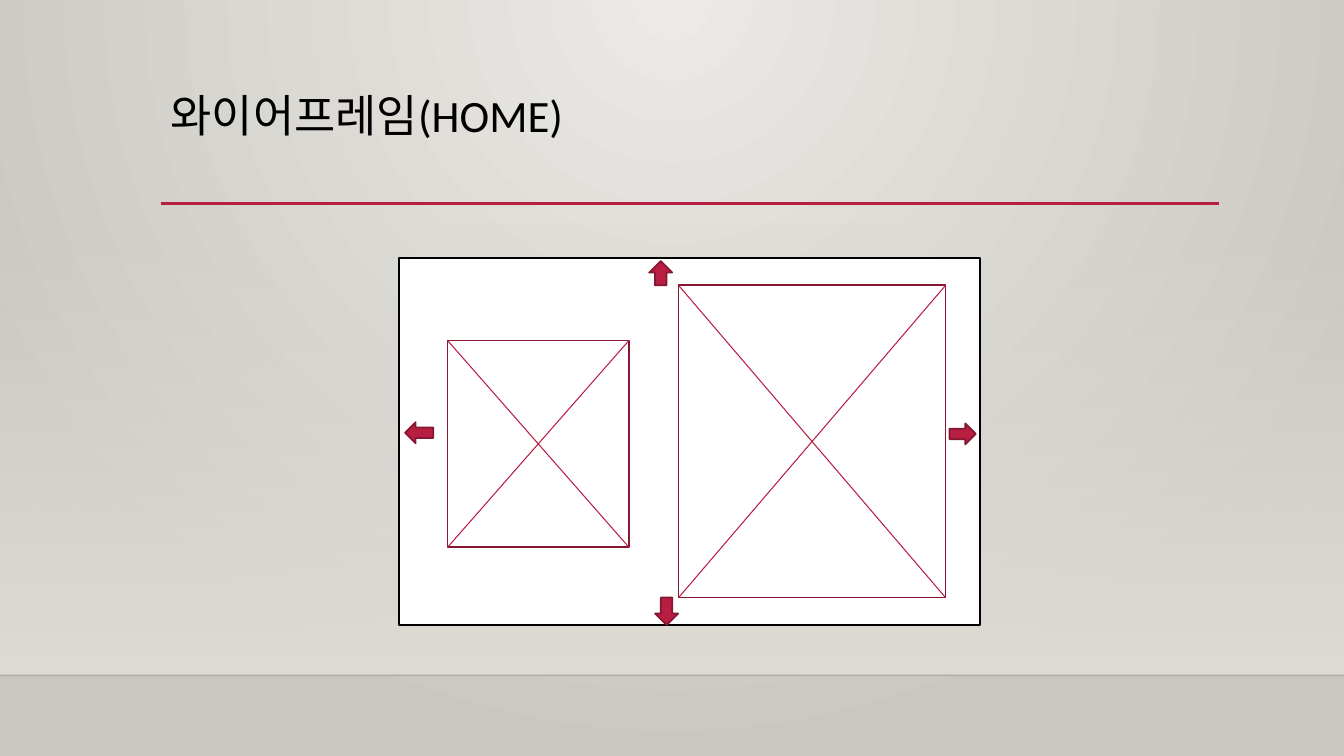
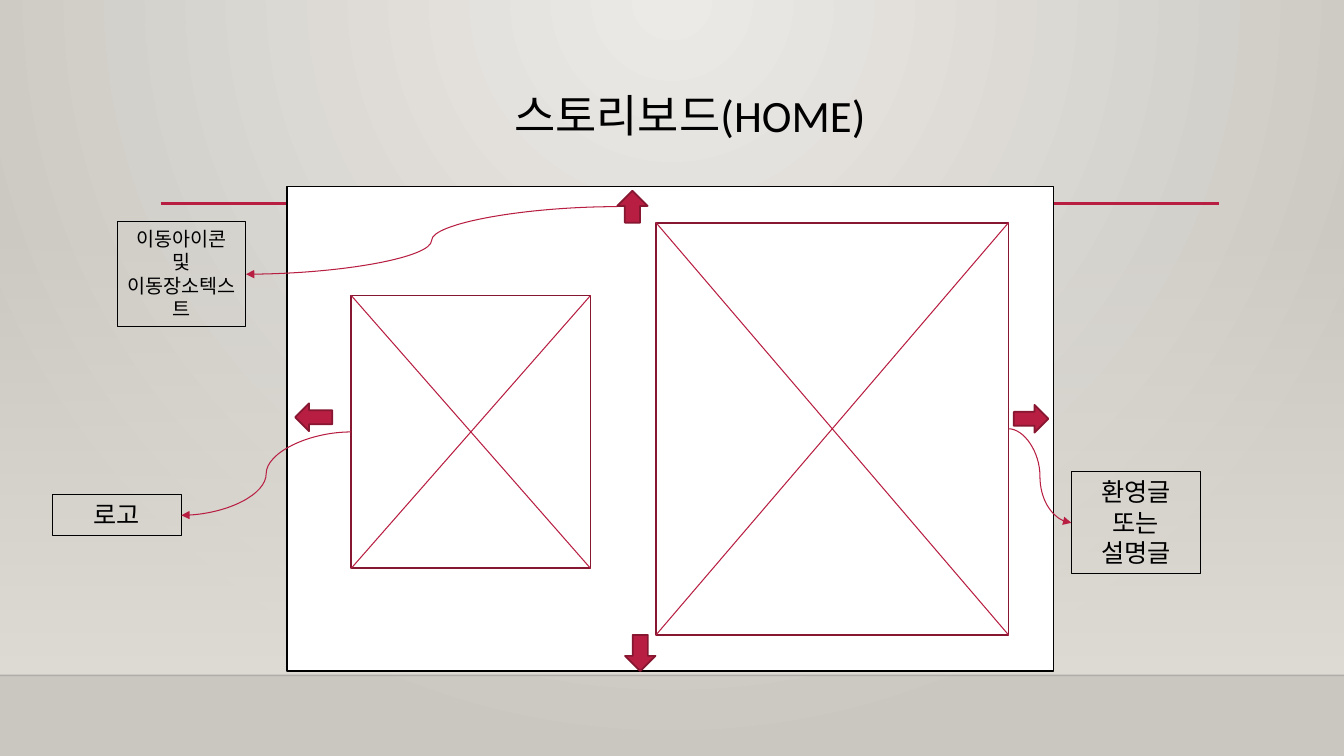
from lxml.etree import SubElement
from pptx import Presentation
from pptx.dml.color import RGBColor
from pptx.enum.shapes import MSO_CONNECTOR, MSO_SHAPE
from pptx.enum.text import MSO_ANCHOR, PP_ALIGN
from pptx.oxml.ns import qn
from pptx.util import Cm, Pt

HUES = {
    "ink": "000000",
    "paper": "FFFFFF",
    "red": "B71E42",
    "wine": "871631",
    "sand": "DFDBD5",
    "light": "ECEAE7",
    "dark": "CAC7C1",
}
FONT = "Calibri"
WIDE, HIGH = 33.87, 19.05
FLOOR = 17.02
FRAME = (0, 0, 14.63, 9.25)
PANES = {"logo": (1.22, 2.08, 4.57, 5.21), "text": (7.04, 0.69, 6.73, 7.87)}
ARROWS = {
    "right": (MSO_SHAPE.RIGHT_ARROW, (13.87, 4.17, 0.66, 0.53)),
    "down": (MSO_SHAPE.DOWN_ARROW, (6.45, 8.56, 0.58, 0.69)),
    "left": (MSO_SHAPE.LEFT_ARROW, (0.15, 4.14, 0.71, 0.53)),
    "up": (MSO_SHAPE.UP_ARROW, (6.3, 0.08, 0.58, 0.61)),
}


def hue(name):
    return RGBColor.from_string(HUES[name])


def fade(item, share):
    for color in item.iter(qn("a:srgbClr")):
        SubElement(color, qn("a:alpha"), val=str(share * 1000))


def blend(fill, names):
    fill.gradient()
    for stop, name in zip(fill.gradient_stops, names):
        stop.color.rgb = hue(name)


class Deck:
    def __init__(self):
        self.prs = Presentation()
        self.prs.slide_width, self.prs.slide_height = Cm(WIDE), Cm(HIGH)
        self.glow()

    def glow(self):
        master = self.prs.slide_master
        blend(master.background.fill, ("light", "dark"))
        line = next(master.element.iter(qn("a:lin")))
        grad = line.getparent()
        grad.remove(line)
        ring = SubElement(grad, qn("a:path"), path="circle")
        SubElement(ring, qn("a:fillToRect"), l="43000", t="0", r="43000", b="100000")

    def page(self, title, align):
        self.slide = self.prs.slides.add_slide(self.prs.slide_layouts[6])
        self.host = self.slide.shapes
        self.wall()
        floor = self.line((0, FLOOR), (WIDE, FLOOR), "ink", 1)
        fade(floor.line._ln, 20)
        self.line((4.05, 5.13), (30.73, 5.13), "red", 2.5)
        self.text((4.05, 2.24, 26.67, 2.92), [title], 32, align, 0.9)

    def wall(self):
        wall = self.shape(MSO_SHAPE.RECTANGLE, (0, 5.61, WIDE, FLOOR - 5.61))
        blend(wall.fill, ("sand", "sand"))
        wall.fill.gradient_angle = 270
        fade(next(wall.element.iter(qn("a:gs"))), 0)
        wall.line.fill.background()

    def shape(self, kind, box, fill=None, edge="ink", width=1.25):
        item = self.host.add_shape(kind, *map(Cm, box))
        item.shadow.inherit = False
        if fill:
            item.fill.solid()
            item.fill.fore_color.rgb = hue(fill)
        item.line.color.rgb = hue(edge)
        item.line.width = Pt(width)
        return item

    def line(self, start, end, color, width, kind=MSO_CONNECTOR.STRAIGHT):
        item = self.host.add_connector(kind, *map(Cm, start + end))
        item.line.color.rgb = hue(color)
        item.line.width = Pt(width)
        SubElement(item.element.spPr, qn("a:effectLst"))
        return item

    def text(self, box, lines, size, align=PP_ALIGN.CENTER, pitch=1.0):
        item = self.host.add_textbox(*map(Cm, box))
        frame = item.text_frame
        frame.word_wrap = True
        frame.vertical_anchor = MSO_ANCHOR.TOP
        for spot, words in enumerate(lines):
            para = frame.add_paragraph() if spot else frame.paragraphs[0]
            para.alignment = align
            para.line_spacing = pitch
            run = para.add_run()
            run.text = words
            run.font.name = FONT
            run.font.size = Pt(size)
            run.font.color.rgb = hue("ink")
        return item

    def pane(self, box):
        x, y, w, h = box
        item = self.shape(MSO_SHAPE.RECTANGLE, box, "paper", "wine")
        self.line((x, y), (x + w, y + h), "red", 0.75)
        self.line((x + w, y), (x, y + h), "red", 0.75)
        return item

    def wire(self, left, top, scale=1.0):
        def place(box):
            x, y, w, h = (scale * part for part in box)
            return left + x, top + y, w, h

        self.host = self.slide.shapes.add_group_shape().shapes
        self.shape(MSO_SHAPE.RECTANGLE, place(FRAME), "paper")
        parts = {name: self.pane(place(box)) for name, box in PANES.items()}
        for name, (kind, box) in ARROWS.items():
            parts[name] = self.shape(kind, place(box), "red", "wine")
        self.host = self.slide.shapes
        return parts

    def note(self, box, lines, size, part, sides):
        label = self.text(box, lines, size)
        label.line.color.rgb = hue("ink")
        label.line.width = Pt(0.75)
        curve = self.line((0, 0), (1, 1), "red", 0.75, MSO_CONNECTOR.CURVE)
        curve.begin_connect(part, sides[0])
        curve.end_connect(label, sides[1])
        SubElement(curve.line._ln, qn("a:tailEnd"), type="triangle")


def main():
    deck = Deck()
    deck.page("와이어프레임(HOME)", PP_ALIGN.LEFT)
    deck.wire(10.06, 6.5)

    deck.page("스토리보드(HOME)", PP_ALIGN.CENTER)
    parts = deck.wire(7.24, 4.7, 1.32)
    notes = [
        ((1.32, 12.47, 3.25, 1.03), ["로고"], 18, "logo", (1, 3)),
        ((27, 11.89, 3.25, 2.57), ["환영글", "또는", "설명글"], 18, "text", (3, 1)),
        ((2.95, 5.59, 3.25, 2.64), ["이동아이콘", "및", "이동장소텍스트"], 14, "up", (1, 3)),
    ]
    for box, lines, size, name, sides in notes:
        deck.note(box, lines, size, parts[name], sides)
    deck.prs.save("out.pptx")


if __name__ == "__main__":
    main()
